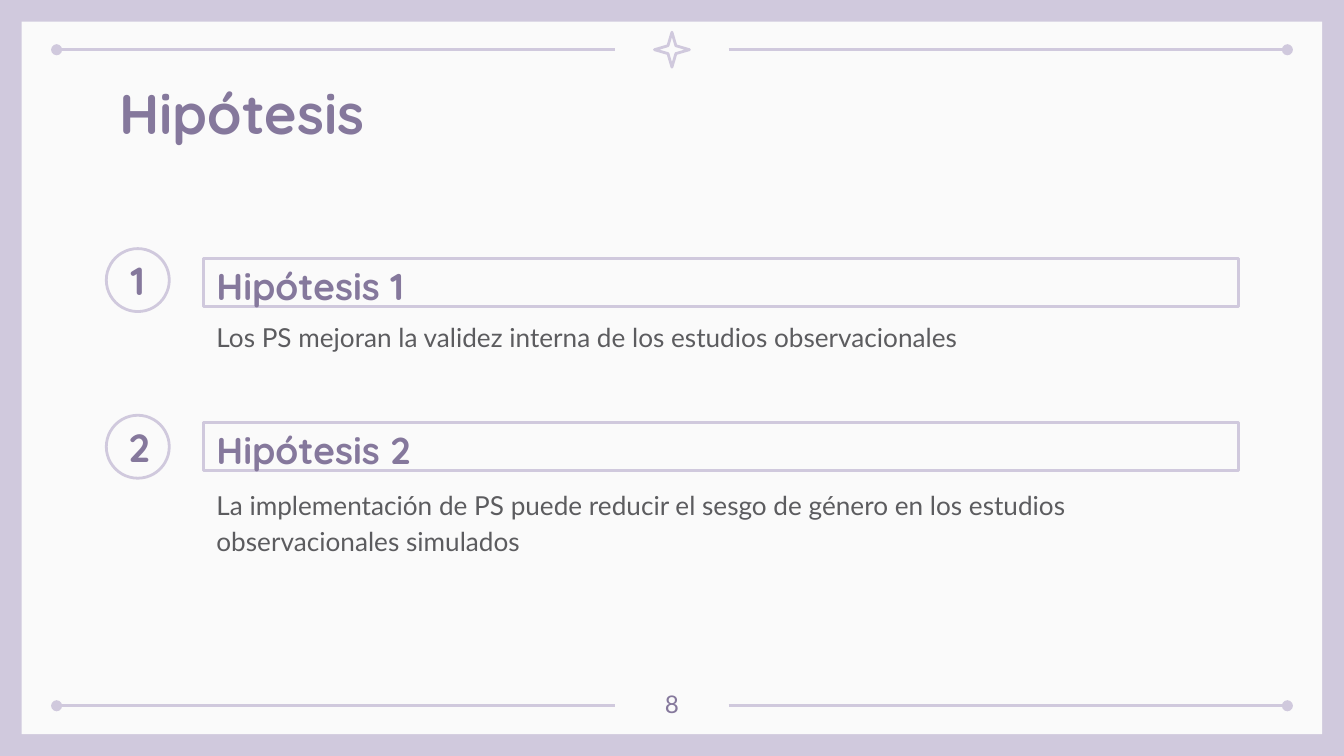
from lxml.etree import SubElement
from pptx import Presentation
from pptx.dml.color import RGBColor
from pptx.enum.shapes import MSO_CONNECTOR, MSO_SHAPE
from pptx.enum.text import MSO_ANCHOR, MSO_AUTO_SIZE, PP_ALIGN
from pptx.oxml.ns import qn
from pptx.util import Cm, Pt

LILAC, PURPLE, GRAY, PAPER = "D0C9DD", "85789C", "5C5C5F", "FAFAFA"
WIDTH, HEIGHT = 25.4, 14.29
MARGIN = 0.41
RULE_START, RULE_END = 1.07, 11.63
TOP_RULE, BOTTOM_RULE = 0.94, 13.34
STAR_SIZE = 0.66
CIRCLE_SIZE = 1.19
TEXT_LEFT, TEXT_WIDTH = 3.84, 19.56

# Heading, statement, tops of circle, heading and statement,
# and the placeholder indexes of heading and statement.
HYPOTHESES = [
    ("Hipótesis 1", "Los PS mejoran la validez interna de los estudios observacionales",
     (4.7, 4.88, 5.74), (1, 2)),
    ("Hipótesis 2", "La implementación de PS puede reducir el sesgo de género en los "
     "estudios observacionales simulados",
     (7.85, 7.98, 8.92), (3, 4)),
]


def color(hex_string):
    return RGBColor.from_string(hex_string)


def place(shape, left, top, width, height):
    shape.left, shape.top = Cm(left), Cm(top)
    shape.width, shape.height = Cm(width), Cm(height)


def outline(shape):
    shape.line.color.rgb = color(LILAC)
    shape.line.width = Pt(1.5)


def write(shape, text, font_name, size, hex_string, bold=False,
          align=PP_ALIGN.LEFT, anchor=MSO_ANCHOR.TOP, spacing=1.0):
    frame = shape.text_frame
    frame.text = text
    frame.word_wrap = True
    frame.auto_size = MSO_AUTO_SIZE.NONE
    frame.vertical_anchor = anchor
    frame.margin_left = frame.margin_right = Cm(0.25)
    frame.margin_top = frame.margin_bottom = Cm(0.25)
    paragraph = frame.paragraphs[0]
    paragraph.alignment = align
    paragraph.line_spacing = spacing
    paragraph.space_before = Pt(0)
    font = paragraph.font
    font.name, font.size, font.bold = font_name, Pt(size), bold
    font.color.rgb = color(hex_string)


def remove_bullet(shape):
    properties = shape.text_frame.paragraphs[0]._p.get_or_add_pPr()
    properties.set("marL", "0")
    properties.set("indent", "0")
    SubElement(properties, qn("a:buNone"))


def add_outlined(slide, preset, left, top, size):
    shape = slide.shapes.add_shape(preset, Cm(left), Cm(top), Cm(size), Cm(size))
    shape.shadow.inherit = False
    shape.fill.background()
    outline(shape)
    return shape


def add_panel(slide):
    """Add the light page, behind everything else."""
    panel = slide.shapes.add_shape(
        MSO_SHAPE.RECTANGLE, Cm(MARGIN), Cm(MARGIN),
        Cm(WIDTH - 2 * MARGIN), Cm(HEIGHT - 2 * MARGIN))
    panel.shadow.inherit = False
    panel.fill.solid()
    panel.fill.fore_color.rgb = color(PAPER)
    panel.line.fill.background()
    slide.shapes._spTree.insert(2, panel._element)


def add_rule(slide, start, end, top, dotted_end):
    rule = slide.shapes.add_connector(
        MSO_CONNECTOR.STRAIGHT, Cm(start), Cm(top), Cm(end), Cm(top))
    outline(rule)
    SubElement(rule.line._get_or_add_ln(), qn(dotted_end), type="oval")
    SubElement(rule._element.spPr, qn("a:effectLst"))


def add_decoration(slide):
    add_panel(slide)
    for top in (TOP_RULE, BOTTOM_RULE):
        add_rule(slide, RULE_START, RULE_END, top, "a:headEnd")
        add_rule(slide, WIDTH - RULE_END, WIDTH - RULE_START, top, "a:tailEnd")
    star = add_outlined(slide, MSO_SHAPE.STAR_4_POINT, (WIDTH - STAR_SIZE) / 2,
                        TOP_RULE - STAR_SIZE / 2, STAR_SIZE)
    star.adjustments[0] = 0.16


def add_title(slide, text):
    title = slide.shapes.title
    place(title, 2.01, 1.24, 21.41, 1.6)
    write(title, text, "Quicksand", 30, PURPLE, bold=True)


def add_hypothesis(slide, number, heading_text, statement_text, tops, indexes):
    circle_top, heading_top, statement_top = tops
    placeholders = {item.placeholder_format.idx: item for item in slide.placeholders}
    heading, statement = (placeholders[index] for index in indexes)

    circle = add_outlined(slide, MSO_SHAPE.OVAL, 2.01, circle_top, CIRCLE_SIZE)
    write(circle, str(number), "Quicksand", 21, PURPLE, bold=True,
          align=PP_ALIGN.CENTER, anchor=MSO_ANCHOR.MIDDLE)

    place(heading, TEXT_LEFT, heading_top, TEXT_WIDTH, 0.91)
    outline(heading)
    write(heading, heading_text, "Quicksand", 20, PURPLE, bold=True,
          anchor=MSO_ANCHOR.MIDDLE, spacing=1.15)

    place(statement, TEXT_LEFT, statement_top, TEXT_WIDTH, 1.47)
    write(statement, statement_text, "Lato", 14, GRAY, spacing=1.15)
    remove_bullet(statement)


def add_page_number(slide, number):
    box = slide.shapes.add_textbox(Cm(11.94), Cm(12.78), Cm(1.52), Cm(0.91))
    write(box, str(number), "Lato", 13, PURPLE, align=PP_ALIGN.CENTER)


def main():
    presentation = Presentation()
    presentation.slide_width, presentation.slide_height = Cm(WIDTH), Cm(HEIGHT)
    comparison_layout = presentation.slide_layouts[4]
    slide = presentation.slides.add_slide(comparison_layout)
    slide.background.fill.solid()
    slide.background.fill.fore_color.rgb = color(LILAC)

    add_decoration(slide)
    add_title(slide, "Hipótesis")
    for number, hypothesis in enumerate(HYPOTHESES, start=1):
        add_hypothesis(slide, number, *hypothesis)
    add_page_number(slide, 8)
    presentation.save("out.pptx")


if __name__ == "__main__":
    main()
